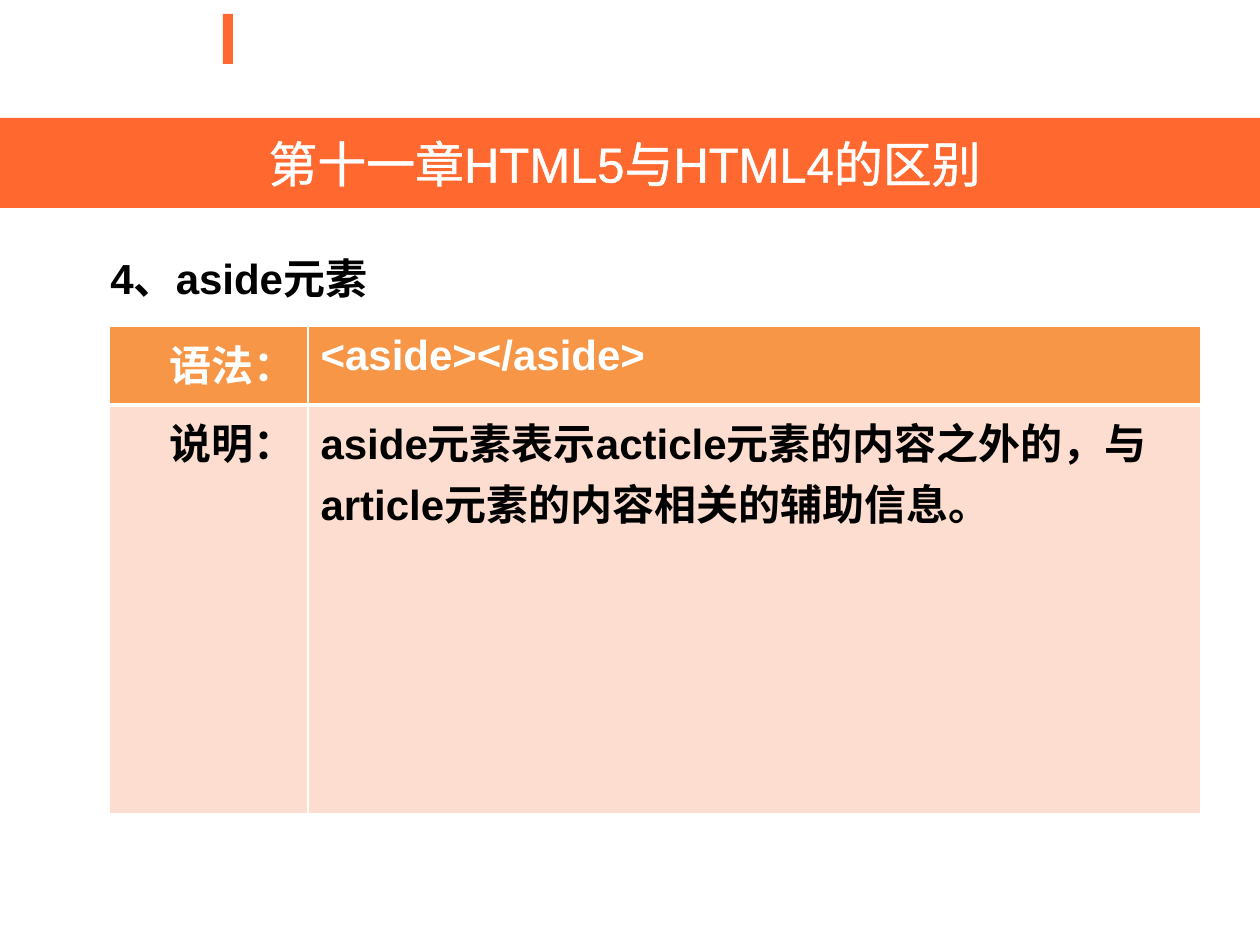
from lxml import etree
from pptx import Presentation
from pptx.dml.color import RGBColor as RGB
from pptx.enum.shapes import MSO_SHAPE as SHAPE
from pptx.enum.text import MSO_ANCHOR as ANCHOR, MSO_AUTO_SIZE as AUTO, PP_ALIGN as ALIGN
from pptx.oxml.ns import qn
from pptx.util import Emu, Pt

PX = 914400 / 126
COLORS = {"accent": "FF682F", "header": "F79646", "body": "FCDDCF",
          "white": "FFFFFF", "black": "000000"}


def px(*lengths):
    return [Emu(round(n * PX)) for n in lengths]


def add_run(p, text, size, color, bold=False):
    r = p.add_run()
    r.text = text
    r.font.name = "Arial"
    r.font.size = Pt(size)
    r.font.bold = bold
    r.font.color.rgb = RGB.from_string(COLORS[color])
    return r


prs = Presentation()
prs.slide_width, prs.slide_height = px(1260, 945)
s = prs.slides.add_slide(prs.slide_layouts[6])

# Accent mark and title band
for box in [(223, 14, 10, 50), (0, 118, 1260, 90)]:
    sp = s.shapes.add_shape(SHAPE.RECTANGLE, *px(*box))
    sp.shadow.inherit = False
    sp.fill.solid()
    sp.fill.fore_color.rgb = RGB.from_string(COLORS["accent"])
    sp.line.fill.background()

# Title with a white letter outline
tf = sp.text_frame
tf.vertical_anchor = ANCHOR.MIDDLE
p = tf.paragraphs[0]
p.alignment = ALIGN.CENTER
r = add_run(p, "第十一章HTML5与HTML4的区别\u00a0", 28, "white")
ln = etree.Element(qn("a:ln"), w=str(Pt(1.45)))
fill = etree.SubElement(ln, qn("a:solidFill"))
etree.SubElement(fill, qn("a:srgbClr"), val=COLORS["white"])
r.font._element.insert(0, ln)

# Syntax table
rows = [("header", "white", ["语法：", "<aside></aside>"]),
        ("body", "black", ["说明：", "aside元素表示acticle元素的内容之外的，与article元素的内容相关的辅助信息。"])]
table = s.shapes.add_table(2, 2, *px(109, 326, 1092, 488)).table
for col, width in zip(table.columns, px(199, 893)):
    col.width = width
for row, height in zip(table.rows, px(79, 409)):
    row.height = height

for i, (back, color, texts) in enumerate(rows):
    # The line between the two rows is thicker
    borders = {"lnL": 1, "lnR": 1, "lnT": 3 if i == 1 else 1, "lnB": 3 if i == 0 else 1}
    for j, text in enumerate(texts):
        cell = table.cell(i, j)
        p = cell.text_frame.paragraphs[0]
        p.alignment = ALIGN.RIGHT if j == 0 else ALIGN.LEFT
        add_run(p, text, 24, color, bold=True)
        tcPr = cell._tc.get_or_add_tcPr()
        for tag, width in borders.items():
            ln = etree.SubElement(tcPr, qn(f"a:{tag}"), w=str(Pt(width)))
            fill = etree.SubElement(ln, qn("a:solidFill"))
            etree.SubElement(fill, qn("a:srgbClr"), val=COLORS["white"])
        cell.fill.solid()
        cell.fill.fore_color.rgb = RGB.from_string(COLORS[back])

# Section heading
tf = s.shapes.add_textbox(*px(98, 246, 969, 63)).text_frame
tf.word_wrap = True
tf.auto_size = AUTO.SHAPE_TO_FIT_TEXT
add_run(tf.paragraphs[0], "4、aside元素", 24, "black", bold=True)

prs.save("out.pptx")
